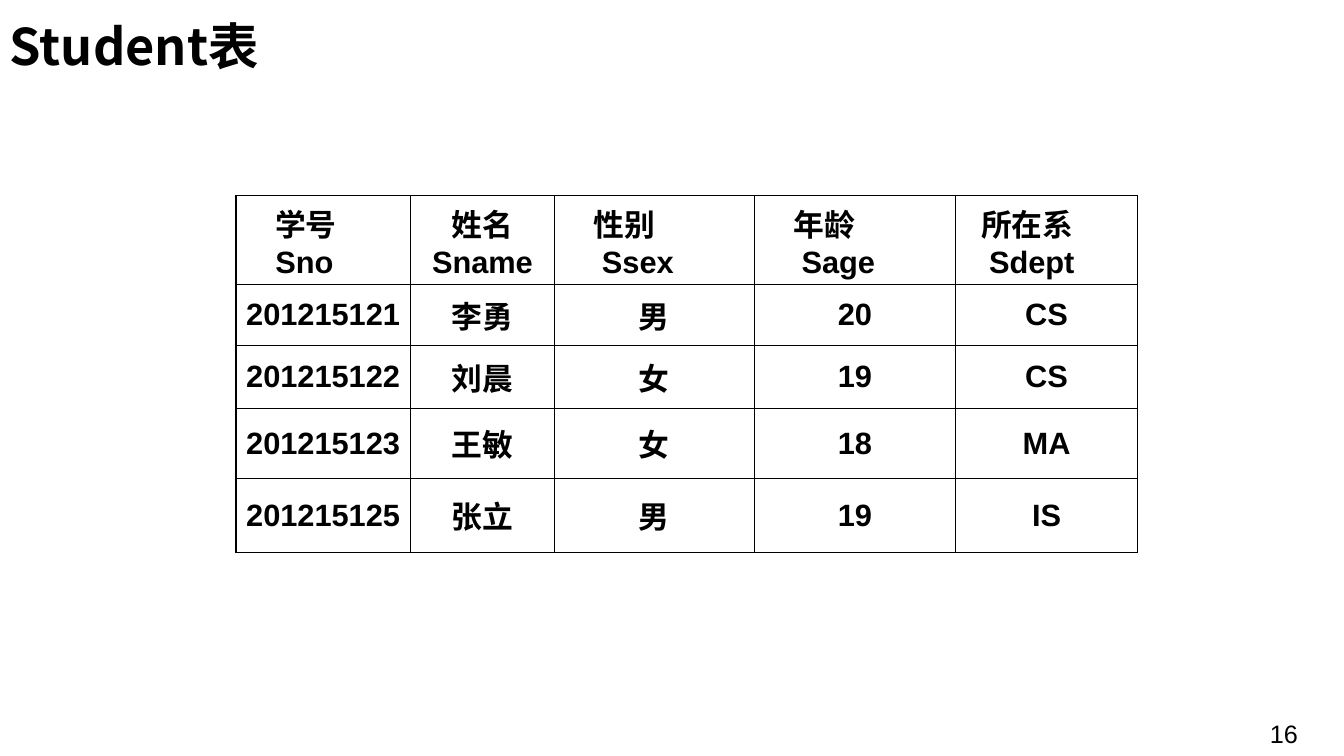
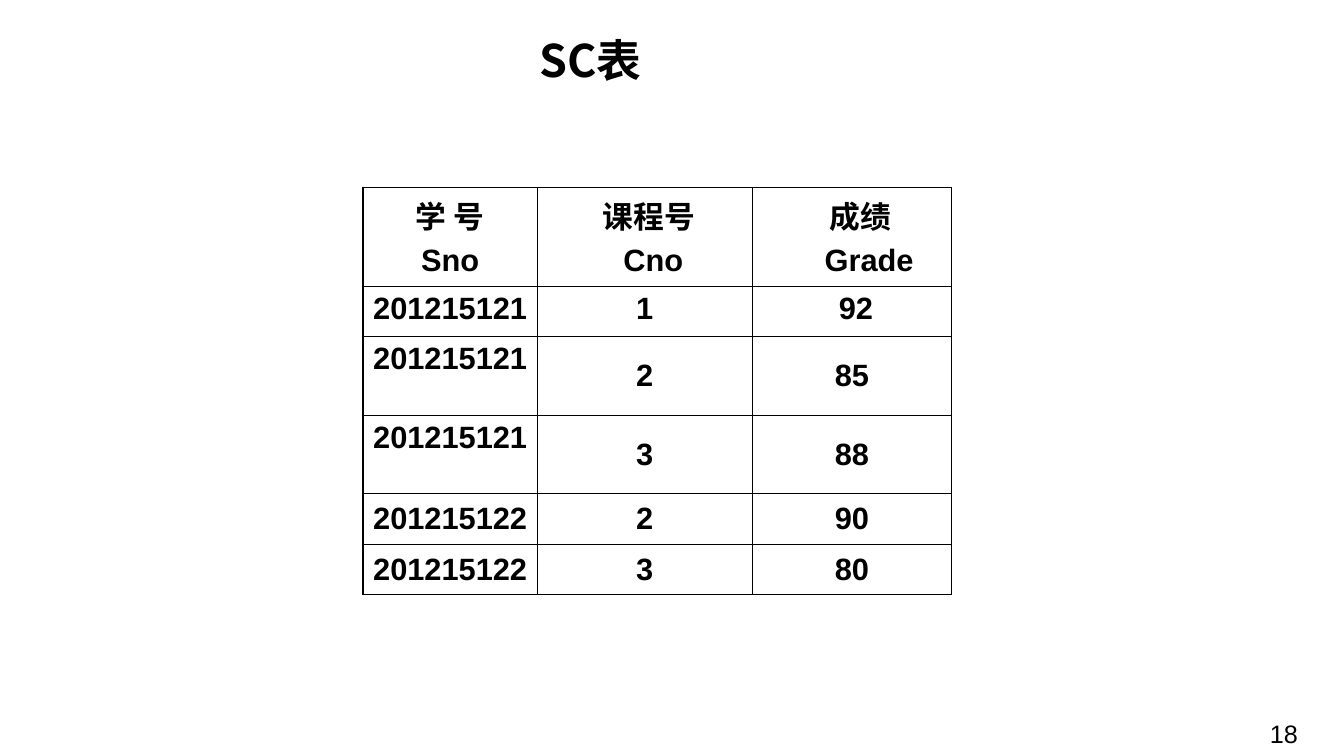
from dataclasses import dataclass

from lxml.etree import SubElement
from pptx import Presentation
from pptx.dml.color import RGBColor
from pptx.enum.text import MSO_ANCHOR, PP_ALIGN
from pptx.oxml.ns import qn
from pptx.util import Inches, Pt

INK = "000000"
LATIN = "Arial"
CJK = "Noto Sans CJK SC"
CELL_SIZE = 22
MIDDLE, TOP = MSO_ANCHOR.MIDDLE, MSO_ANCHOR.TOP
LEFT, CENTER, RIGHT = PP_ALIGN.LEFT, PP_ALIGN.CENTER, PP_ALIGN.RIGHT


@dataclass(frozen=True)
class Line:
    text: str
    margin: float = 0
    align: PP_ALIGN = CENTER


@dataclass(frozen=True)
class Title:
    text: str
    left: float
    top: float
    height: float
    size: float


@dataclass(frozen=True)
class Grid:
    left: float
    top: float
    cols: list[float]
    rows: list[float]
    header: list[list[Line]]
    body: list[list[str | Line]]
    space_before: float = 0
    top_cells: frozenset[tuple[int, int]] = frozenset()


@dataclass(frozen=True)
class Page:
    number: str
    title: Title
    grid: Grid


def rgb(color: str) -> RGBColor:
    return RGBColor.from_string(color)


def style(p, size: float, font: str = LATIN, bold: bool = True) -> None:
    for r in p.runs:
        r.font.size = Pt(size)
        r.font.bold = bold
        r.font.name = font
        r.font.color.rgb = rgb(INK)
        SubElement(r.font._element, qn("a:ea"), typeface=CJK)


def add_text(s, text: str, left: float, top: float, width: float, height: float,
             size: float, font: str, bold: bool, align: PP_ALIGN,
             anchor: MSO_ANCHOR) -> None:
    sp = s.shapes.add_textbox(*map(Inches, (left, top, width, height)))
    tf = sp.text_frame
    tf.word_wrap = True
    tf.vertical_anchor = anchor
    tf.text = text
    p = tf.paragraphs[0]
    p.alignment = align
    style(p, size, font, bold)


def add_borders(cell) -> None:
    tc_pr = cell._tc.get_or_add_tcPr()
    for side in ("lnL", "lnR", "lnT", "lnB"):
        ln = SubElement(tc_pr, qn(f"a:{side}"), w=str(Pt(1)))
        fill = SubElement(ln, qn("a:solidFill"))
        SubElement(fill, qn("a:srgbClr"), val=INK)


def fill_cell(cell, lines: list[Line], anchor: MSO_ANCHOR, space_before: float) -> None:
    add_borders(cell)
    cell.fill.background()
    cell.vertical_anchor = anchor
    tf = cell.text_frame
    tf.text = "\n".join(line.text for line in lines)
    for p, line in zip(tf.paragraphs, lines):
        p.alignment = line.align
        p.space_before = Pt(space_before)
        if line.margin:
            p._p.get_or_add_pPr().set("marL", str(Inches(line.margin)))
        style(p, CELL_SIZE)


def add_grid(s, grid: Grid) -> None:
    size = map(Inches, (grid.left, grid.top, sum(grid.cols), sum(grid.rows)))
    table = s.shapes.add_table(len(grid.rows), len(grid.cols), *size).table
    table.first_row = False
    table.horz_banding = False
    for col, width in zip(table.columns, grid.cols):
        col.width = Inches(width)
    for row, height in zip(table.rows, grid.rows):
        row.height = Inches(height)
    body = [[[c if isinstance(c, Line) else Line(c)] for c in row] for row in grid.body]
    for i, row in enumerate([grid.header, *body]):
        for j, lines in enumerate(row):
            anchor = TOP if (i, j) in grid.top_cells else MIDDLE
            fill_cell(table.cell(i, j), lines, anchor, grid.space_before)


def add_page(prs, page: Page) -> None:
    s = prs.slides.add_slide(prs.slide_layouts[6])
    t = page.title
    add_text(s, page.number, 11.72, 7.08, 1.25, 0.4, 18, LATIN, False, RIGHT, TOP)
    add_text(s, t.text, t.left, t.top, 8.08, t.height, t.size, CJK, True, LEFT, MIDDLE)
    add_grid(s, page.grid)


def left_header(chinese: str, english: str, margin: float, shift: float) -> list[Line]:
    return [Line(chinese, margin, LEFT), Line(english, margin + shift, LEFT)]


STUDENT = Grid(
    2.34, 1.94, [1.73, 1.43, 1.98, 2, 1.8], [0.88, 0.61, 0.62, 0.7, 0.73],
    [
        left_header("学号", "Sno", 0.29, 0),
        [Line("姓名"), Line("Sname")],
        left_header("性别", "Ssex", 0.29, 0.08),
        left_header("年龄", "Sage", 0.29, 0.08),
        left_header("所在系", "Sdept", 0.15, 0.08),
    ],
    [
        ["201215121", "李勇", "男", "20", "CS"],
        ["201215122", "刘晨", "女", "19", "CS"],
        ["201215123", "王敏", "女", "18", "MA"],
        ["201215125", "张立", "男", "19", "IS"],
    ],
)

SC = Grid(
    3.6, 1.86, [1.73, 2.13, 1.98], [0.98, 0.5, 0.78, 0.78, 0.5, 0.5],
    [
        [Line("学 号"), Line("Sno")],
        [Line("课程号", 0.08), Line("Cno", 0.17)],
        [Line("成绩", 0.17), Line("Grade", 0.34)],
    ],
    [
        ["201215121", "1", Line("92", 0.08)],
        ["201215121", "2", "85"],
        ["201215121", "3", "88"],
        ["201215122", "2", "90"],
        ["201215122", "3", "80"],
    ],
    space_before=4.4,
    top_cells=frozenset({(0, 0), (0, 1), (0, 2), (1, 0), (1, 1), (1, 2), (2, 0), (3, 0)}),
)

PAGES = [
    Page("16", Title("Student表", 0, 0, 0.9, 36), STUDENT),
    Page("18", Title("SC表", 5.25, 0.28, 0.62, 32), SC),
]


def main() -> None:
    prs = Presentation()
    prs.slide_width = Inches(13.33)
    prs.slide_height = Inches(7.5)
    for page in PAGES:
        add_page(prs, page)
    prs.save("out.pptx")


if __name__ == "__main__":
    main()
